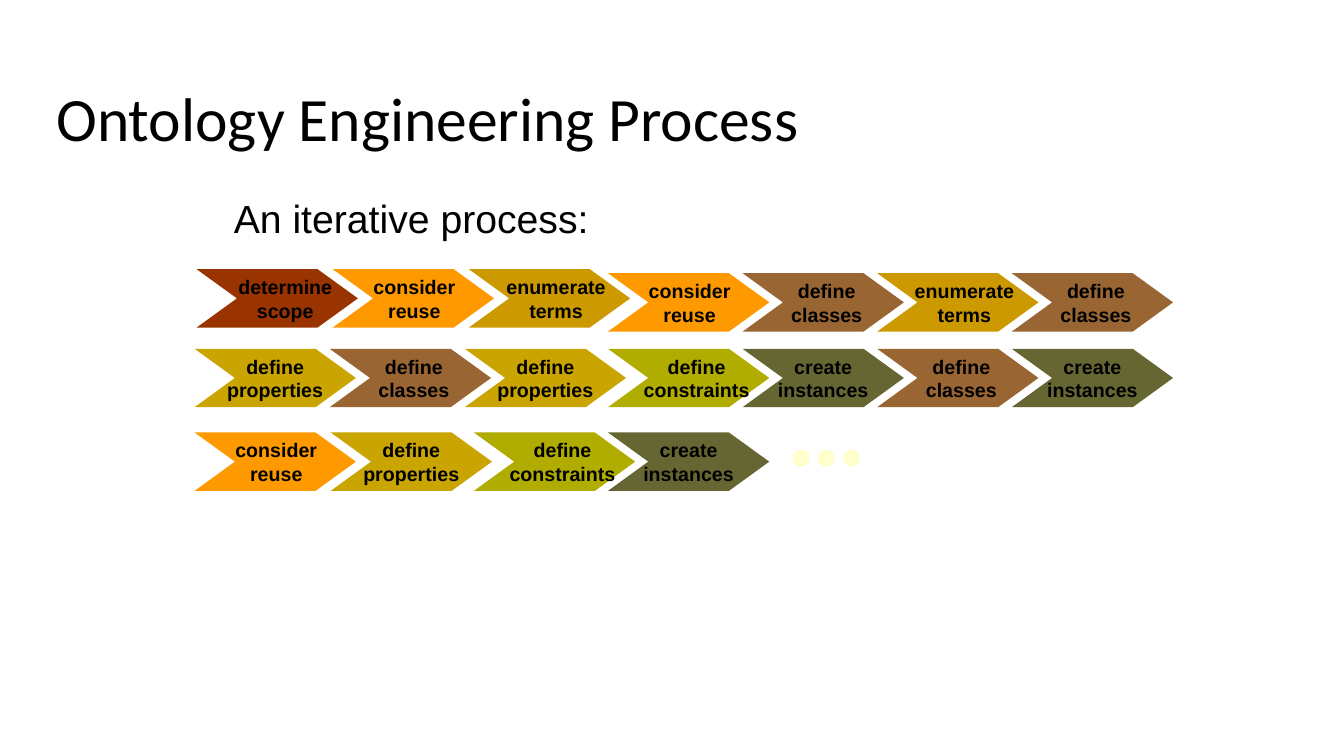
from pptx import Presentation
from pptx.dml.color import RGBColor
from pptx.enum.shapes import MSO_SHAPE
from pptx.enum.text import MSO_ANCHOR, MSO_AUTO_SIZE, PP_ALIGN
from pptx.util import Inches, Pt

CHEVRON = MSO_SHAPE.CHEVRON
OVAL = MSO_SHAPE.OVAL
MIDDLE = MSO_ANCHOR.MIDDLE
FIT_TEXT = MSO_AUTO_SIZE.SHAPE_TO_FIT_TEXT
CENTER = PP_ALIGN.CENTER

BLACK = RGBColor(0x00, 0x00, 0x00)
RUST = RGBColor(0x99, 0x33, 0x00)
ORANGE = RGBColor(0xFF, 0x99, 0x00)
OCHRE = RGBColor(0xCC, 0x99, 0x00)
BROWN = RGBColor(0x99, 0x66, 0x33)
GOLD = RGBColor(0xCA, 0xA4, 0x00)
LIME = RGBColor(0xB0, 0xAC, 0x00)
OLIVE = RGBColor(0x66, 0x66, 0x33)
CREAM = RGBColor(0xFF, 0xFF, 0xCC)

STEPS = {
    "scope": ("determine", RUST, 0.31, 1.14),
    "reuse": ("consider", ORANGE, 0.30, 1.02),
    "terms": ("enumerate", OCHRE, 0.27, 1.19),
    "classes": ("define", BROWN, 0.38, 0.91),
    "properties": ("define", GOLD, 0.22, 1.16),
    "constraints": ("define", LIME, 0.25, 1.26),
    "instances": ("create", OLIVE, 0.25, 1.10),
}

SEQUENCES = [
    (1.95, 2.67, 1.35, ["scope", "reuse", "terms"]),
    (6.03, 2.71, 1.335, ["reuse", "classes", "terms", "classes"]),
    (1.93, 3.46, 1.34, ["properties", "classes", "properties"]),
    (6.03, 3.46, 1.335, ["constraints", "instances", "classes", "instances"]),
    (1.93, 4.29, 1.35, ["reuse", "properties"]),
    (4.70, 4.29, 1.33, ["constraints", "instances"]),
]

presentation = Presentation()
presentation.slide_width = Inches(13.33)
presentation.slide_height = Inches(7.5)
slide = presentation.slides.add_slide(presentation.slide_layouts[6])


def add_filled_shape(kind, left, top, width, height, color):
    shape = slide.shapes.add_shape(
        kind, Inches(left), Inches(top), Inches(width), Inches(height))
    shape.shadow.inherit = False
    shape.fill.solid()
    shape.fill.fore_color.rgb = color
    shape.line.fill.background()
    return shape


def add_text(left, top, width, height, lines, font_name, size, bold=False):
    box = slide.shapes.add_textbox(
        Inches(left), Inches(top), Inches(width), Inches(height))
    paragraph = box.text_frame.paragraphs[0]
    for index, line in enumerate(lines):
        if index:
            paragraph.add_line_break()
        run = paragraph.add_run()
        run.text = line
        run.font.name = font_name
        run.font.size = Pt(size)
        run.font.bold = bold
        run.font.color.rgb = BLACK
    return box.text_frame


title = add_text(0.46, 0.79, 12.59, 0.83, ["Ontology Engineering Process"], "Calibri", 44)
title.word_wrap = True
title.vertical_anchor = MIDDLE
title.paragraphs[0].line_spacing = 0.9

subtitle = add_text(2.22, 1.88, 8.98, 0.63, ["An iterative process:"], "Arial", 28)
subtitle.word_wrap = True

for start, top, pitch, subjects in SEQUENCES:
    for index, subject in enumerate(subjects):
        verb, color, offset, width = STEPS[subject]
        left = start + index * pitch
        chevron = add_filled_shape(CHEVRON, left, top, 1.6, 0.58, color)
        chevron.adjustments[0] = 0.69
        label = add_text(left + offset, top + 0.01, width, 0.57,
                         [verb, subject], "Arial", 14, bold=True)
        label.word_wrap = False
        label.auto_size = FIT_TEXT
        label.paragraphs[0].alignment = CENTER

for index in range(3):
    add_filled_shape(OVAL, 7.86 + index * 0.25, 4.46, 0.17, 0.17, CREAM)

presentation.save("out.pptx")
